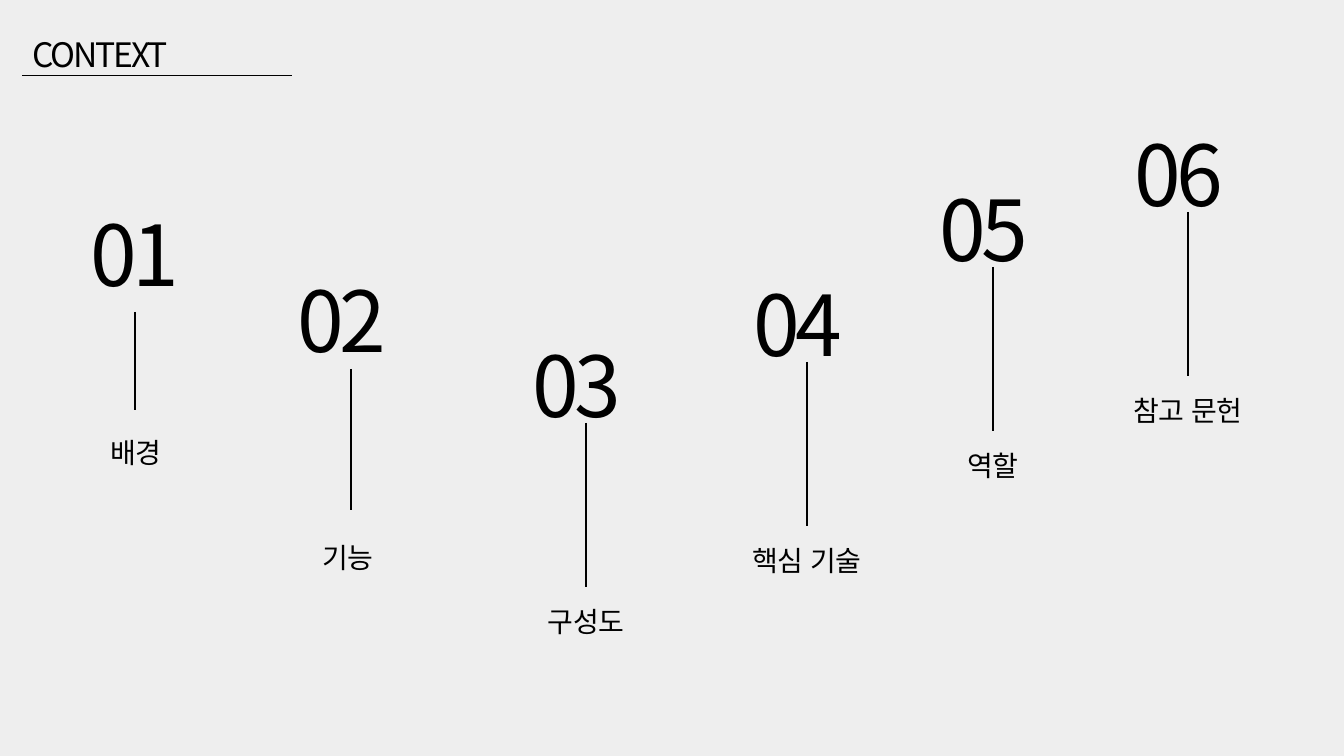
import pptx
import pptx.dml.color
import pptx.enum.shapes
import pptx.enum.text
import pptx.oxml
import pptx.oxml.ns
import pptx.util

PX = 914400 / 100.8
FONT = "Noto Sans CJK KR"
COLORS = {"background": "EEEEEE", "ink": "000000"}


def px(*lengths):
    return [pptx.util.Emu(round(length * PX)) for length in lengths]


def write(box, text, size, align="LEFT", line_spacing=1.0, tracking=0, turned=False):
    frame = box.text_frame
    frame.word_wrap = True
    frame.auto_size = pptx.enum.text.MSO_AUTO_SIZE.SHAPE_TO_FIT_TEXT
    frame.vertical_anchor = pptx.enum.text.MSO_ANCHOR.TOP
    if turned:
        box.rotation = 90
        frame._txBody.bodyPr.set("vert", "vert270")
    para = frame.paragraphs[0]
    para.alignment = getattr(pptx.enum.text.PP_ALIGN, align)
    para.line_spacing = line_spacing
    span = para.add_run()
    span.text = text
    span.font.size = pptx.util.Pt(size)
    span.font.name = FONT
    span.font.color.rgb = pptx.dml.color.RGBColor.from_string(COLORS["ink"])
    properties = span._r.get_or_add_rPr()
    properties.set("spc", str(round(tracking * 100)))
    east_asian = pptx.oxml.parse_xml(
        f'<a:ea {pptx.oxml.ns.nsdecls("a")} typeface="{FONT}"/>'
    )
    properties.find(pptx.oxml.ns.qn("a:latin")).addnext(east_asian)


deck = pptx.Presentation()
deck.slide_width, deck.slide_height = px(1344, 756)
page = deck.slides.add_slide(deck.slide_layouts.get_by_name("Title Only"))
page.background.fill.solid()
page.background.fill.fore_color.rgb = pptx.dml.color.RGBColor.from_string(COLORS["background"])

title = page.shapes.title
title.left, title.top, title.width, title.height = px(22, 29, 315, 50)
write(title, "CONTEXT", 24, tracking=-1.5)

rules = [(page.shapes, 292, 75, 22, 75, 0.5)]

chapters = [
    ("배경", 94, 184, 135, 312, 410, 136, 414, 340),
    ("기능", 301, 250, 351, 369, 510, 348, 519, 246),
]
for label, left, top in [
    ("구성도", 536, 315),
    ("핵심 기술", 757, 254),
    ("역할", 943, 159),
    ("참고 문헌", 1138, 104),
]:
    stem = left + 50
    chapters.append((label, left, top, stem, top + 108, top + 272, stem, top + 268, 339))

for index, chapter in enumerate(chapters, start=1):
    label, left, top, stem, stem_top, stem_bottom, center, label_top, label_width = chapter
    group = page.shapes.add_group_shape()
    number_box = group.shapes.add_textbox(*px(left, top, 122, 149))
    write(number_box, f"{index:02d}", 60, tracking=-3, turned=True)
    label_box = group.shapes.add_textbox(
        *px(center - label_width / 2, label_top, label_width, 55)
    )
    write(label_box, label, 20, align="CENTER", line_spacing=1.5)
    rules.append((group.shapes, stem, stem_top, stem, stem_bottom, 1.25))

for shapes, start_x, start_y, end_x, end_y, weight in rules:
    rule = shapes.add_connector(
        pptx.enum.shapes.MSO_CONNECTOR.STRAIGHT, *px(start_x, start_y, end_x, end_y)
    )
    rule.line.width = pptx.util.Pt(weight)
    rule.line.color.rgb = pptx.dml.color.RGBColor.from_string(COLORS["ink"])
    rule._element.spPr.append(
        pptx.oxml.parse_xml(f'<a:effectLst {pptx.oxml.ns.nsdecls("a")}/>')
    )

deck.save("out.pptx")
